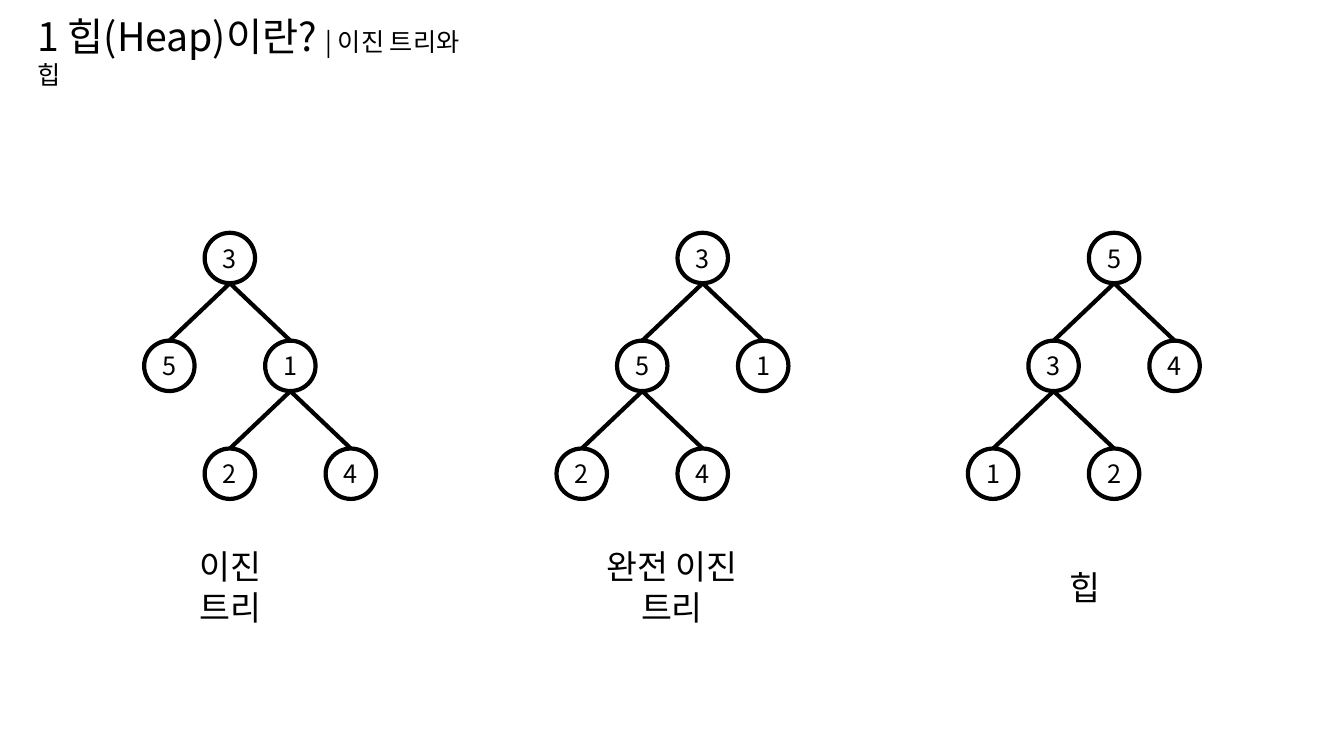
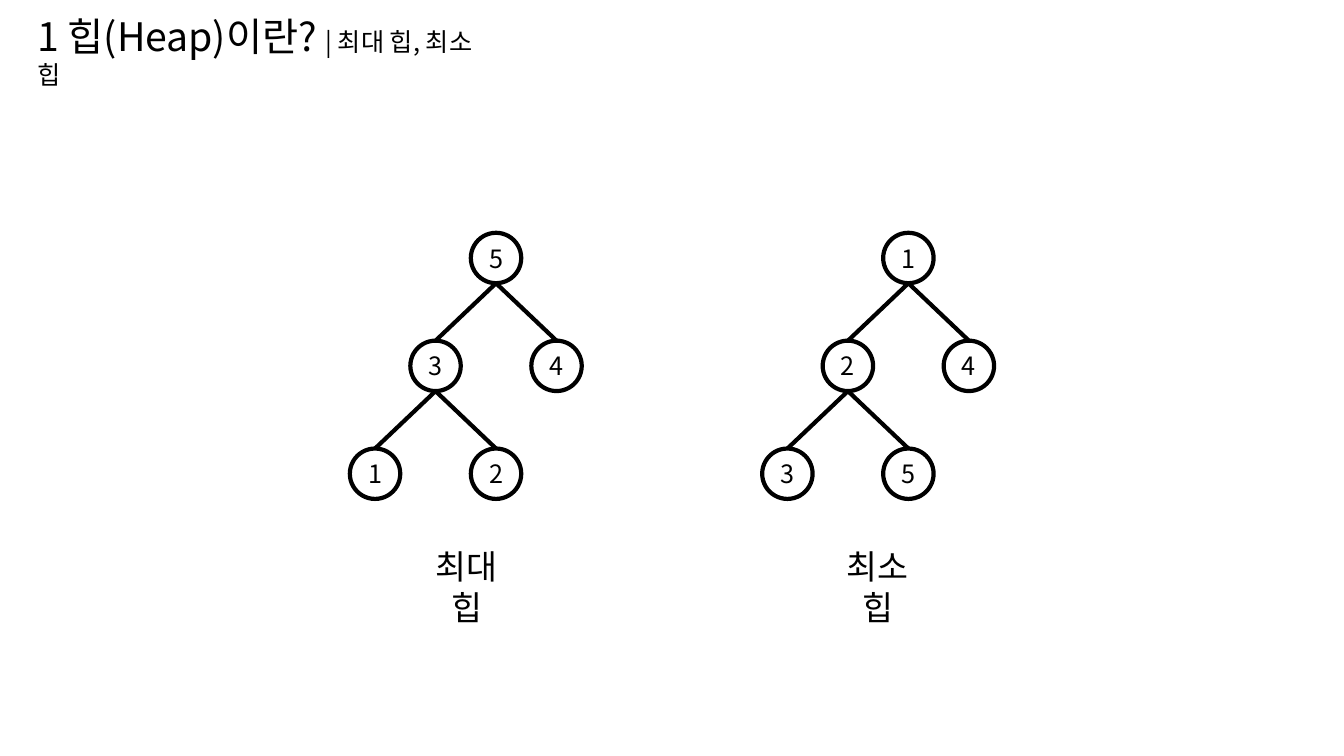
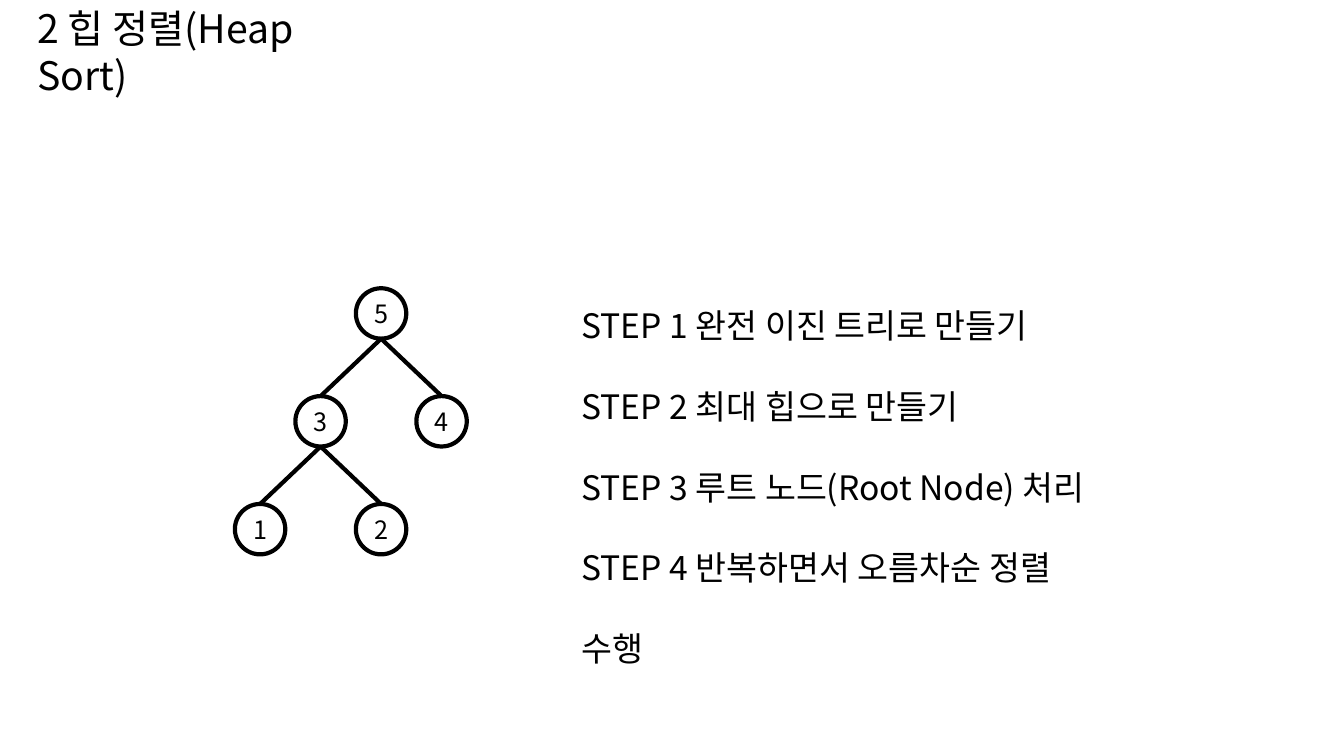
from dataclasses import dataclass
from typing import Optional

from pptx import Presentation
from pptx import util as u
from pptx.dml.color import RGBColor
from pptx.enum import shapes, text
from pptx.oxml.ns import qn
from lxml import etree

PX = 9144  # EMU in one px, 100 px to the inch
COLORS = {"ink": "000000", "paper": "FFFFFF"}
FONT = "Noto Sans CJK KR"
STROKE = 3

NODE = 50         # circle diameter
STEP_X = 60       # sideways shift from parent to child
STEP_Y = 107      # drop from parent to child
TREE_TOP = 231
LABEL_TOP = 557
TEXT_HEIGHT = 50

LEFT, CENTER = text.PP_ALIGN.LEFT, text.PP_ALIGN.CENTER
TOP, MIDDLE = text.MSO_ANCHOR.TOP, text.MSO_ANCHOR.MIDDLE


@dataclass
class Node:
    value: int
    left: Optional["Node"] = None
    right: Optional["Node"] = None


@dataclass
class Label:
    words: str
    left: int
    width: int
    align: text.PP_ALIGN = CENTER


@dataclass
class Tree:
    root: Node
    left: int
    top: int = TREE_TOP
    label: Optional[Label] = None


@dataclass
class Page:
    title: str
    subtitle: str
    title_width: int
    trees: list[Tree]
    steps: tuple[str, ...] = ()


def px(length: int) -> u.Emu:
    return u.Emu(length * PX)


def color(name: str) -> RGBColor:
    return RGBColor.from_string(COLORS[name])


def write(box, paragraphs, *, align=LEFT, anchor=MIDDLE, spacing=1.0,
          margins=(10, 5)) -> None:
    """Fill a box; each paragraph is a list of (words, size) spans."""
    frame = box.text_frame
    frame.word_wrap = True
    frame.auto_size = text.MSO_AUTO_SIZE.NONE
    frame.vertical_anchor = anchor
    frame.margin_left = frame.margin_right = px(margins[0])
    frame.margin_top = frame.margin_bottom = px(margins[1])
    for index, spans in enumerate(paragraphs):
        para = frame.add_paragraph() if index else frame.paragraphs[0]
        para.alignment = align
        para.line_spacing = spacing
        for words, size in spans:
            span = para.add_run()
            span.text = words
            span.font.size = u.Pt(size)
            span.font.name = FONT
            span.font.color.rgb = color("ink")
            # Hangul takes the East Asian font
            latin = span.font._element.find(qn("a:latin"))
            east_asian = etree.Element(qn("a:ea"), typeface=FONT)
            latin.addnext(east_asian)


def add_text(slide, paragraphs, left: int, top: int, width: int, height: int,
             **style) -> None:
    box = slide.shapes.add_textbox(px(left), px(top), px(width), px(height))
    write(box, paragraphs, **style)


def add_edge(slide, start: tuple[int, int], end: tuple[int, int]) -> None:
    edge = slide.shapes.add_connector(
        shapes.MSO_CONNECTOR.STRAIGHT, *map(px, start + end))
    edge.line.color.rgb = color("ink")
    edge.line.width = u.Pt(STROKE)
    etree.SubElement(edge._element.spPr, qn("a:effectLst"))


def add_node(slide, node: Node, left: int, top: int) -> None:
    """Draw a node, then its edges and children."""
    circle = slide.shapes.add_shape(
        shapes.MSO_SHAPE.OVAL, px(left), px(top), px(NODE), px(NODE))
    circle.shadow.inherit = False
    circle.fill.solid()
    circle.fill.fore_color.rgb = color("paper")
    circle.line.color.rgb = color("ink")
    circle.line.width = u.Pt(STROKE)
    write(circle, [[(str(node.value), 18)]], align=CENTER, margins=(0, 0))

    center = left + NODE // 2
    for child, shift in ((node.left, -STEP_X), (node.right, STEP_X)):
        if child:
            child_top = top + STEP_Y
            add_edge(slide, (center, top + NODE), (center + shift, child_top))
            add_node(slide, child, left + shift, child_top)


def add_title(slide, page: Page) -> None:
    title = slide.shapes.title
    title.left, title.top = px(27), px(22)
    title.width, title.height = px(page.title_width), px(57)
    spans = [(page.title, 28)]
    if page.subtitle:
        spans.append((page.subtitle, 18))
    write(title, [spans])


def add_page(deck, page: Page) -> None:
    slide = deck.slides.add_slide(deck.slide_layouts[5])
    add_title(slide, page)
    for tree in page.trees:
        add_node(slide, tree.root, tree.left, tree.top)
        if tree.label:
            add_text(slide, [[(tree.label.words, 24)]], tree.label.left,
                     LABEL_TOP, tree.label.width, TEXT_HEIGHT,
                     align=tree.label.align)
    if page.steps:
        lines = [[(f"STEP {number} {step}", 24)]
                 for number, step in enumerate(page.steps, 1)]
        add_text(slide, lines, 567, 258, 534, 321, anchor=TOP, spacing=2.0)


# Trees that appear on the slides
PLAIN_TREE = Node(3, Node(5), Node(1, Node(2), Node(4)))
COMPLETE_TREE = Node(3, Node(5, Node(2), Node(4)), Node(1))
MAX_HEAP = Node(5, Node(3, Node(1), Node(2)), Node(4))
MIN_HEAP = Node(1, Node(2, Node(3), Node(5)), Node(4))

HEAP_TITLE = "1 힙(Heap)이란? "
PAGES = [
    Page(HEAP_TITLE, "| 이진 트리와 힙", 454, [
        Tree(PLAIN_TREE, 203, label=Label("이진 트리", 188, 140, LEFT)),
        Tree(COMPLETE_TREE, 672, label=Label("완전 이진 트리", 563, 207)),
        Tree(MAX_HEAP, 1080, label=Label("힙", 1051, 48)),
    ]),
    Page(HEAP_TITLE, "| 최대 힙, 최소 힙", 468, [
        Tree(MAX_HEAP, 467, label=Label("최대 힙", 404, 118)),
        Tree(MIN_HEAP, 876, label=Label("최소 힙", 814, 113)),
    ]),
    Page("2 힙 정렬(Heap Sort)", "", 358, [Tree(MAX_HEAP, 353, 286)], (
        "완전 이진 트리로 만들기",
        "최대 힙으로 만들기",
        "루트 노드(Root Node) 처리",
        "반복하면서 오름차순 정렬 수행",
    )),
]


def main() -> None:
    deck = Presentation()
    deck.slide_width, deck.slide_height = px(1333), px(750)
    for page in PAGES:
        add_page(deck, page)
    deck.save("out.pptx")


if __name__ == "__main__":
    main()
